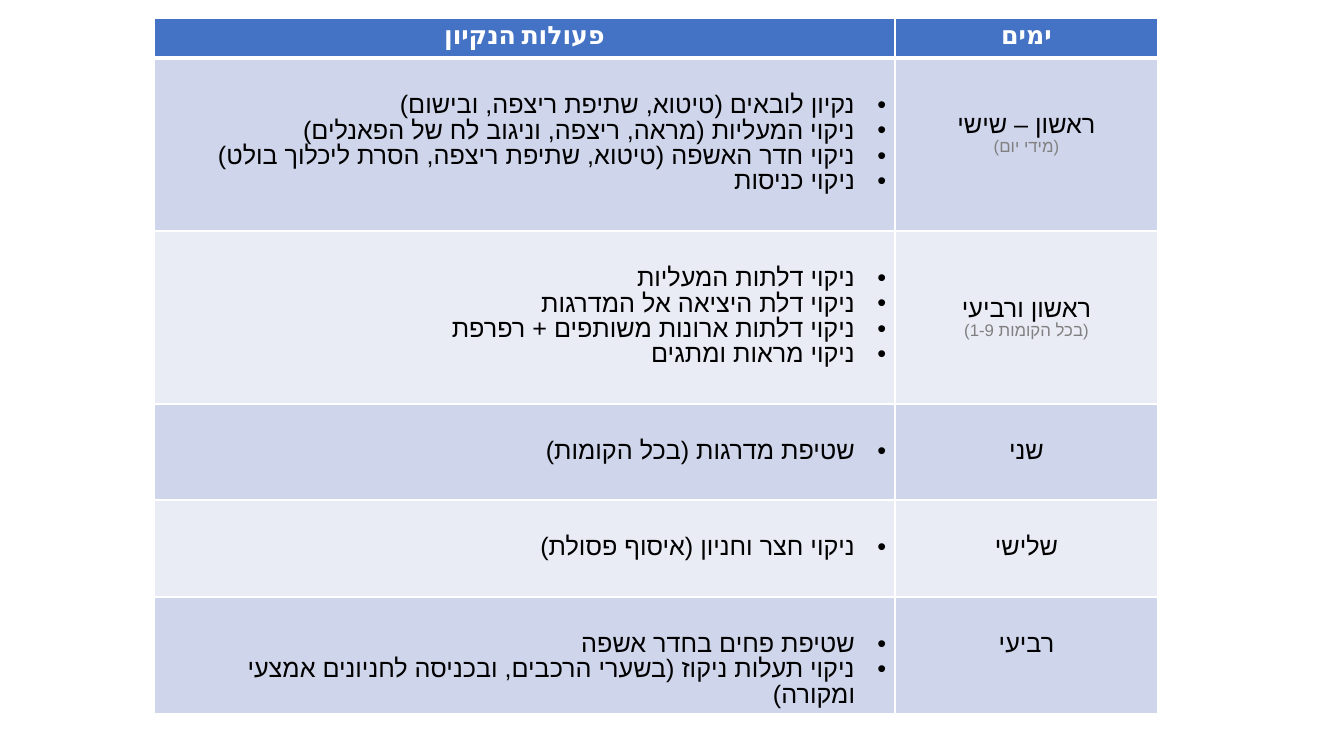
from lxml import etree
from pptx import Presentation
from pptx.dml.color import RGBColor
from pptx.enum.text import PP_ALIGN
from pptx.oxml.ns import qn
from pptx.util import Pt

CENTER, RIGHT = PP_ALIGN.CENTER, PP_ALIGN.RIGHT
SCALE = 914400 / 100.8
FONT, HEBREW_FONT = "Calibri", "Arial"
WHITE, BLACK, GRAY = "FFFFFF", "000000", "808080"
HEADER_FILL, BANDS = "4472C4", ("CFD5EA", "E9EBF5")
HEADER_HEIGHT, HEADER_TOP, PAD_X, PAD_Y, TASK_TOP = 40, 2, 9, 5, 36
COLUMN_WIDTHS = (741, 263)

HEADERS = ("פעולות הנקיון", "ימים")
SCHEDULE = [
    (173, 56, "ראשון – שישי", "(מידי יום)", [
        "נקיון לובאים (טיטוא, שתיפת ריצפה, ובישום)",
        "ניקוי המעליות (מראה, ריצפה, וניגוב לח של הפאנלים)",
        "ניקוי חדר האשפה (טיטוא, שתיפת ריצפה, הסרת ליכלוך בולט)",
        "ניקוי כניסות",
    ]),
    (173, 67, "ראשון ורביעי", "(בכל הקומות 1-9)", [
        "ניקוי דלתות המעליות",
        "ניקוי דלת היציאה אל המדרגות",
        "ניקוי דלתות ארונות משותפים + רפרפת",
        "ניקוי מראות ומתגים",
    ]),
    (96, TASK_TOP, "שני", None, ["שטיפת מדרגות (בכל הקומות)"]),
    (97, TASK_TOP, "שלישי", None, ["ניקוי חצר וחניון (איסוף פסולת)"]),
    (97, TASK_TOP, "רביעי", None, [
        "שטיפת פחים בחדר אשפה",
        "ניקוי תעלות ניקוז (בשערי הרכבים, ובכניסה לחניונים אמצעי ומקורה)",
    ]),
]


def px(n):
    return round(n * SCALE)


def color(value):
    return RGBColor.from_string(value)


def add_text(tf, text, size=18, fill=BLACK, bold=False, align=CENTER,
             bullet=False, hebrew=HEBREW_FONT, spacing=None):
    p = tf.paragraphs[0]
    if p.runs:
        p = tf.add_paragraph()
    p.alignment = align
    p.line_spacing = spacing or Pt(size)
    pPr = p._p.get_or_add_pPr()
    pPr.set("rtl", "1")
    if bullet:
        pPr.set("marL", str(px(31)))
        pPr.set("indent", str(-px(31)))
        etree.SubElement(pPr, qn("a:buFont"), typeface="Arial")
        etree.SubElement(pPr, qn("a:buChar"), char="•")
    r = p.add_run()
    r.text = text
    r.font.name = FONT
    r.font.size = Pt(size)
    r.font.bold = bold
    r.font.color.rgb = color(fill)
    rPr = r._r.get_or_add_rPr()
    rPr.set("lang", "he-IL")
    etree.SubElement(rPr, qn("a:cs"), typeface=hebrew)


def format_cell(cell, fill, top=PAD_Y, above=1, below=1):
    cell.margin_left = cell.margin_right = px(PAD_X)
    cell.margin_top, cell.margin_bottom = px(top), px(PAD_Y)
    tcPr = cell._tc.get_or_add_tcPr()
    for side, width in (("L", 1), ("R", 1), ("T", above), ("B", below)):
        ln = etree.SubElement(tcPr, qn("a:ln" + side), w=str(Pt(width)))
        solid = etree.SubElement(ln, qn("a:solidFill"))
        etree.SubElement(solid, qn("a:srgbClr"), val=WHITE)
    cell.fill.solid()
    cell.fill.fore_color.rgb = color(fill)


def add_schedule(s, left, top):
    heights = [HEADER_HEIGHT] + [row[0] for row in SCHEDULE]
    table = s.shapes.add_table(
        len(heights), len(COLUMN_WIDTHS), px(left), px(top),
        px(sum(COLUMN_WIDTHS)), px(sum(heights))).table
    for column, width in zip(table.columns, COLUMN_WIDTHS):
        column.width = px(width)
    for row, height in zip(table.rows, heights):
        row.height = px(height)
    for i, header in enumerate(HEADERS):
        cell = table.cell(0, i)
        format_cell(cell, HEADER_FILL, HEADER_TOP, below=3)
        add_text(cell.text_frame, header, fill=WHITE, bold=True,
                 hebrew=FONT, spacing=1.0)
    for i, (_, day_top, day, note, tasks) in enumerate(SCHEDULE):
        fill, above = BANDS[i % 2], 1 if i else 3
        task_cell, day_cell = table.cell(i + 1, 0), table.cell(i + 1, 1)
        format_cell(task_cell, fill, TASK_TOP, above)
        format_cell(day_cell, fill, day_top, above)
        for task in tasks:
            add_text(task_cell.text_frame, task, align=RIGHT, bullet=True)
        add_text(day_cell.text_frame, day)
        if note:
            add_text(day_cell.text_frame, note, size=12, fill=GRAY)


def main():
    prs = Presentation()
    prs.slide_width, prs.slide_height = px(1344), px(756)
    s = prs.slides.add_slide(prs.slide_layouts[6])
    add_schedule(s, 154, 18)
    prs.save("out.pptx")


if __name__ == "__main__":
    main()
